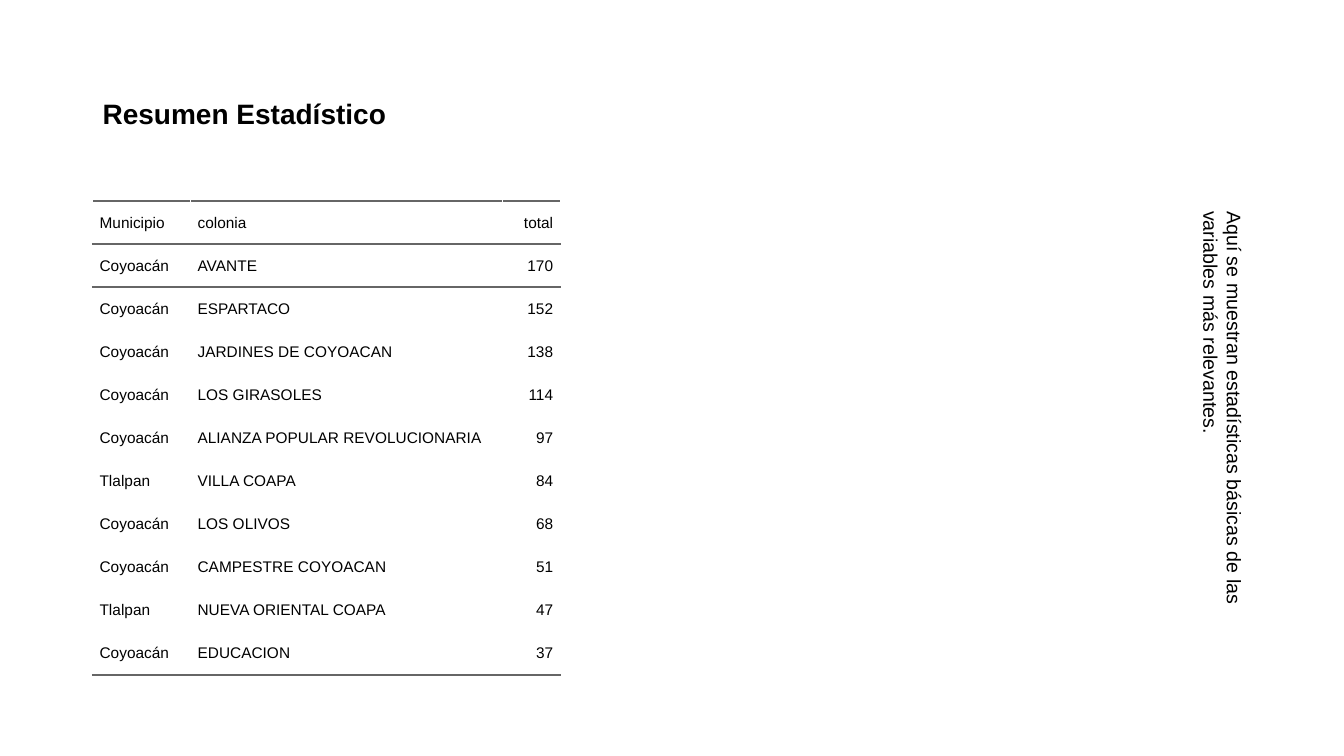
from lxml.etree import SubElement
from pptx import Presentation
from pptx.dml.color import RGBColor
from pptx.enum.text import MSO_ANCHOR, PP_ALIGN
from pptx.oxml import parse_xml
from pptx.oxml.ns import nsdecls
from pptx.util import Cm, Pt

TITLE = "Resumen Estadístico"
NOTE = "Aquí se muestran estadísticas básicas de las variables más relevantes."
HEADER = ("Municipio", "colonia", "total")
COLONIAS = [
    ("Coyoacán", "AVANTE", 170),
    ("Coyoacán", "ESPARTACO", 152),
    ("Coyoacán", "JARDINES DE COYOACAN", 138),
    ("Coyoacán", "LOS GIRASOLES", 114),
    ("Coyoacán", "ALIANZA POPULAR REVOLUCIONARIA", 97),
    ("Tlalpan", "VILLA COAPA", 84),
    ("Coyoacán", "LOS OLIVOS", 68),
    ("Coyoacán", "CAMPESTRE COYOACAN", 51),
    ("Tlalpan", "NUEVA ORIENTAL COAPA", 47),
    ("Coyoacán", "EDUCACION", 37),
]
COLORS = {"text": "000000", "rule": "666666"}
FONT = "Arial"

LEFT, CONTENT_TOP = Cm(2.33), Cm(5.07)
CONTENT_WIDTH, CONTENT_HEIGHT = Cm(29.21), Cm(12.09)
TITLE_TOP, TITLE_HEIGHT = Cm(1.02), Cm(3.68)
COLUMN_WIDTHS = (Cm(2.47), Cm(7.87), Cm(1.45))
TABLE_HEIGHT = Cm(11.94)
CELL_MARGIN = Cm(0.18)
RULE_WIDTH = Pt(1.5)


def style(paragraph, size, align=PP_ALIGN.LEFT, bold=False):
    paragraph.alignment = align
    font = paragraph.font
    font.name, font.size, font.bold = FONT, Pt(size), bold
    font.color.rgb = RGBColor.from_string(COLORS["text"])


def add_rules(cell, sides):
    """Draw cell borders; sides run in schema order, T before B."""
    properties = cell._tc.get_or_add_tcPr()
    for position, side in enumerate(sides):
        properties.insert(position, parse_xml(
            f'<a:ln{side} {nsdecls("a")} w="{RULE_WIDTH}"><a:solidFill>'
            f'<a:srgbClr val="{COLORS["rule"]}"/></a:solidFill></a:ln{side}>'))


def add_title(slide):
    title = slide.shapes.title
    title.left, title.top = LEFT, TITLE_TOP
    title.width, title.height = CONTENT_WIDTH, TITLE_HEIGHT
    frame = title.text_frame
    frame.text = TITLE
    frame.vertical_anchor = MSO_ANCHOR.MIDDLE
    style(frame.paragraphs[0], 20, bold=True)


def add_vertical_note(slide):
    note = slide.shapes.add_textbox(LEFT, CONTENT_TOP, CONTENT_WIDTH, CONTENT_HEIGHT)
    frame = note.text_frame
    frame.word_wrap = True
    frame.text = NOTE
    frame._txBody.bodyPr.set("vert", "eaVert")
    style(frame.paragraphs[0], 14)


def add_colonia_table(slide):
    rows = [HEADER, *COLONIAS]
    table = slide.shapes.add_table(
        len(rows), len(HEADER), LEFT, CONTENT_TOP, sum(COLUMN_WIDTHS), TABLE_HEIGHT).table
    table.first_row = table.horz_banding = False
    for column, width in zip(table.columns, COLUMN_WIDTHS):
        column.width = width
    rules = {0: "TB", 1: "T", len(rows) - 1: "B"}
    for r, values in enumerate(rows):
        for c, value in enumerate(values):
            cell = table.cell(r, c)
            cell.text = str(value)
            cell.vertical_anchor = MSO_ANCHOR.MIDDLE
            cell.margin_left = cell.margin_right = CELL_MARGIN
            cell.margin_top = cell.margin_bottom = CELL_MARGIN
            cell.fill.background()
            add_rules(cell, rules.get(r, ""))
            is_total = c == len(HEADER) - 1
            style(cell.text_frame.paragraphs[0], 11,
                  PP_ALIGN.RIGHT if is_total else PP_ALIGN.LEFT)


def main():
    presentation = Presentation()
    presentation.slide_width, presentation.slide_height = Cm(33.87), Cm(19.05)
    slide = presentation.slides.add_slide(presentation.slide_layouts[5])
    add_title(slide)
    add_vertical_note(slide)
    add_colonia_table(slide)
    presentation.save("out.pptx")


if __name__ == "__main__":
    main()
